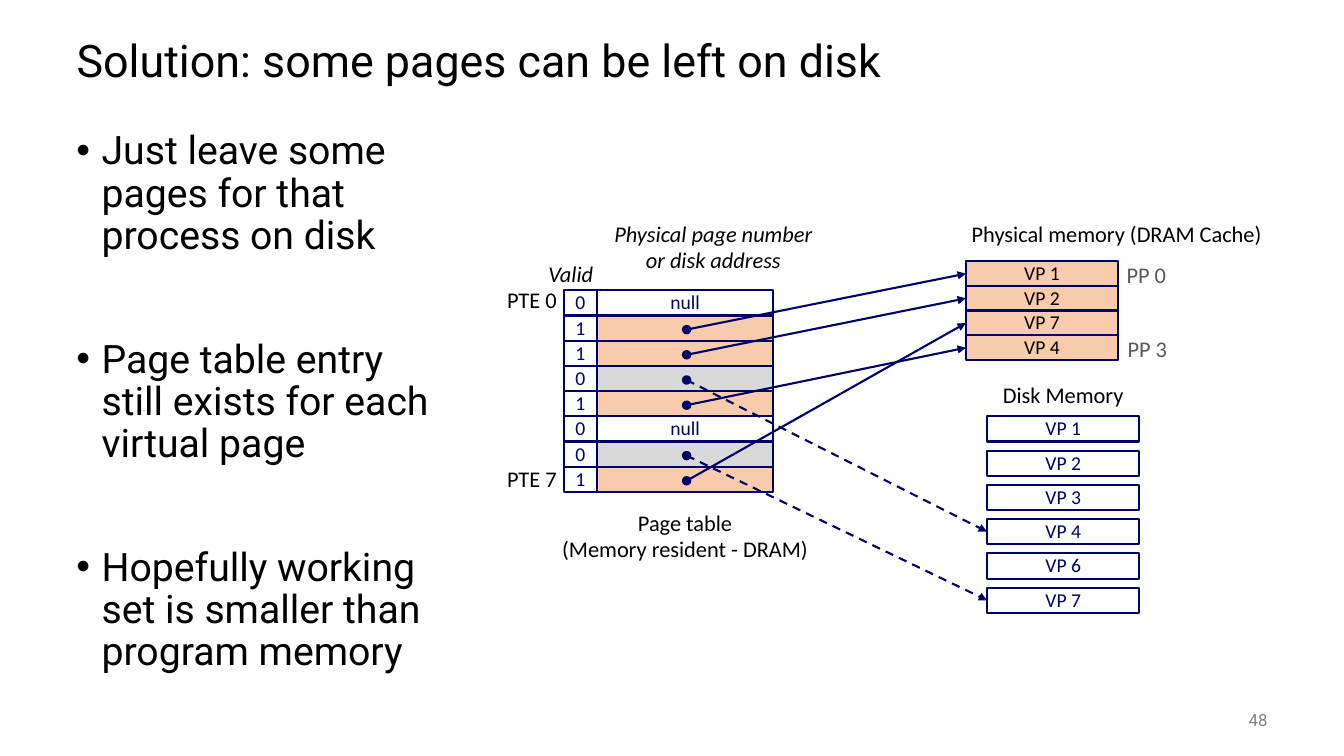
from dataclasses import dataclass

from lxml.etree import SubElement
from pptx import Presentation
from pptx.dml.color import RGBColor
from pptx.enum.dml import MSO_LINE_DASH_STYLE as Dash
from pptx.enum.shapes import MSO_CONNECTOR as Connector, MSO_SHAPE as Shape
from pptx.enum.text import MSO_ANCHOR as Anchor, PP_ALIGN as Align
from pptx.oxml.ns import qn
from pptx.util import Inches, Pt


@dataclass(frozen=True)
class Theme:
    black: str = "000000"
    navy: str = "000066"
    white: str = "FFFFFF"
    in_memory: str = "F8CBAD"
    on_disk: str = "D9D9D9"
    frame_label: str = "595959"
    page_number: str = "808080"
    text_font: str = "Roboto"
    diagram_font: str = "Calibri"
    title_size: int = 32
    body_size: int = 28
    label_size: int = 16
    cell_size: int = 14
    number_size: int = 12


THEME = Theme()
ROW_HEIGHT = 0.25
LEFT_SIDE = 1

BULLETS = [
    "Just leave some pages for that process on disk",
    "Page table entry still exists for each virtual page",
    "Hopefully working set is smaller than program memory",
]

# Valid bit, and where the entry points: (memory or disk, virtual page)
PAGE_TABLE = [
    (0, None),
    (1, ("memory", "VP 1")),
    (1, ("memory", "VP 2")),
    (0, ("disk", "VP 4")),
    (1, ("memory", "VP 4")),
    (0, None),
    (0, ("disk", "VP 7")),
    (1, ("memory", "VP 7")),
]

# Text, box, alignment, extra format
LABELS = [
    ("Valid", (5.34, 2.54, 0.75, 0.37), Align.LEFT, {"italic": True}),
    ("Physical page number\vor disk address", (5.99, 2.14, 2.17, 0.63),
     Align.CENTER, {"italic": True}),
    ("PTE 0", (4.92, 2.8, 0.7, 0.37), Align.RIGHT, {}),
    ("PTE 7", (4.92, 4.57, 0.7, 0.37), Align.RIGHT, {}),
    ("Page table\v(Memory resident - DRAM)", (5.43, 5.01, 2.73, 0.63),
     Align.CENTER, {}),
    ("Physical memory (DRAM Cache)", (9.48, 2.14, 3.19, 0.37), Align.CENTER, {}),
    ("PP 0", (11.07, 2.55, 0.6, 0.37), Align.CENTER, {"color": THEME.frame_label}),
    ("PP 3", (11.08, 3.28, 0.6, 0.37), Align.CENTER, {"color": THEME.frame_label}),
    ("Disk Memory", (9.84, 3.74, 1.41, 0.37), Align.CENTER, {}),
]


def rgb(color):
    return RGBColor.from_string(color)


def inches(box):
    return [Inches(length) for length in box]


def write(paragraph, text, size, color=THEME.black, font=THEME.diagram_font,
          align=Align.LEFT, spacing=0.98, italic=False):
    paragraph.text = text
    paragraph.alignment = align
    paragraph.line_spacing = spacing
    font_format = {"name": font, "size": Pt(size), "italic": italic}
    for run in paragraph.runs:
        for attribute, value in font_format.items():
            setattr(run.font, attribute, value)
        run.font.color.rgb = rgb(color)


def set_frame(frame, wrap=False, anchor=Anchor.MIDDLE):
    frame_format = {
        "word_wrap": wrap, "vertical_anchor": anchor,
        "margin_left": Inches(0.1), "margin_right": Inches(0.1),
        "margin_top": Inches(0.05), "margin_bottom": Inches(0.05),
    }
    for attribute, value in frame_format.items():
        setattr(frame, attribute, value)


def add_text(slide, text, box, size, **text_format):
    frame = slide.shapes.add_textbox(*inches(box)).text_frame
    set_frame(frame)
    write(frame.paragraphs[0], text, size, **text_format)


def add_outlined(slide, kind, box, fill=None, line_width=1.5):
    outlined = slide.shapes.add_shape(kind, *inches(box))
    outlined.shadow.inherit = False
    if fill:
        outlined.fill.solid()
        outlined.fill.fore_color.rgb = rgb(fill)
    else:
        outlined.fill.background()
    outlined.line.color.rgb = rgb(THEME.navy)
    outlined.line.width = Pt(line_width)
    return outlined


def add_cell(slide, box, fill=None, text="", color=THEME.navy):
    cell = add_outlined(slide, Shape.RECTANGLE, box, fill)
    if text:
        set_frame(cell.text_frame)
        write(cell.text_frame.paragraphs[0], text, THEME.cell_size,
              color=color, align=Align.CENTER)
    return cell


def add_pages(slide, left, top, pitch, numbers, fill, color):
    """Stack of page cells, found again by the name of the page."""
    names = [f"VP {number}" for number in numbers]
    return {
        name: add_cell(slide, (left, top + row * pitch, 1.51, ROW_HEIGHT),
                       fill, name, color)
        for row, name in enumerate(names)
    }


def add_pointer(slide, x, y, page, dashed):
    radius = 0.04
    add_outlined(slide, Shape.OVAL, (x - radius, y - radius, 2 * radius, 2 * radius),
                 THEME.navy, line_width=1)
    pointer = slide.shapes.add_connector(
        Connector.STRAIGHT, Inches(x), Inches(y), page.left, page.top)
    pointer.end_connect(page, LEFT_SIDE)
    pointer.line.color.rgb = rgb(THEME.navy)
    pointer.line.width = Pt(1.5)
    if dashed:
        pointer.line.dash_style = Dash.DASH
    SubElement(pointer.line._get_or_add_ln(), qn("a:tailEnd"), type="triangle")
    SubElement(pointer._element.spPr, qn("a:effectLst"))


def add_title(slide):
    title = slide.shapes.title
    title.left, title.top, title.width, title.height = inches((0.66, 0.25, 12, 0.75))
    set_frame(title.text_frame, wrap=True)
    write(title.text_frame.paragraphs[0], "Solution: some pages can be left on disk",
          THEME.title_size, font=THEME.text_font, spacing=0.9)


def add_bullets(slide):
    frame = slide.shapes.add_textbox(*inches((0.66, 1.25, 3.86, 5.5))).text_frame
    set_frame(frame, wrap=True, anchor=Anchor.TOP)
    for position, text in enumerate(BULLETS):
        point = frame.add_paragraph() if position else frame.paragraphs[0]
        properties = point._p.get_or_add_pPr()
        properties.set("marL", str(Inches(0.25)))
        properties.set("indent", str(-Inches(0.25)))
        SubElement(properties, qn("a:buFont"), typeface="Arial")
        SubElement(properties, qn("a:buChar"), char="•")
        write(point, text, THEME.body_size, font=THEME.text_font, spacing=0.9)
        point.space_before = Pt(58 if position else 0)


def add_page_table(slide, places):
    table_top = 2.88
    for row, (valid, target) in enumerate(PAGE_TABLE):
        top = table_top + row * ROW_HEIGHT
        place = target[0] if target else None
        fill = {"memory": THEME.in_memory, "disk": THEME.on_disk}.get(place, THEME.white)
        add_cell(slide, (5.59, top, 0.33, ROW_HEIGHT), text=str(valid))
        add_cell(slide, (5.92, top, 1.75, ROW_HEIGHT), fill, "" if target else "null")

    # Pointers lie above every row
    for row, (_, target) in enumerate(PAGE_TABLE):
        if target:
            place, page = target
            add_pointer(slide, 6.81, table_top + row * ROW_HEIGHT + 0.14,
                        places[place][page], dashed=place == "disk")


def main():
    deck = Presentation()
    deck.slide_width, deck.slide_height = Inches(13.33), Inches(7.5)
    slide = deck.slides.add_slide(deck.slide_layouts[5])

    # Text
    add_title(slide)
    add_bullets(slide)
    add_text(slide, "48", (11.67, 6.95, 1, 0.4), THEME.number_size,
             color=THEME.page_number, font=THEME.text_font, align=Align.RIGHT)

    # Diagram
    places = {
        "memory": add_pages(slide, 9.58, 2.59, 0.245, (1, 2, 7, 4),
                            THEME.in_memory, THEME.black),
        "disk": add_pages(slide, 9.79, 4.13, 0.34, (1, 2, 3, 4, 6, 7),
                          THEME.white, THEME.navy),
    }
    add_page_table(slide, places)
    for text, box, align, extra in LABELS:
        add_text(slide, text, box, THEME.label_size, align=align, **extra)

    deck.save("out.pptx")


if __name__ == "__main__":
    main()
